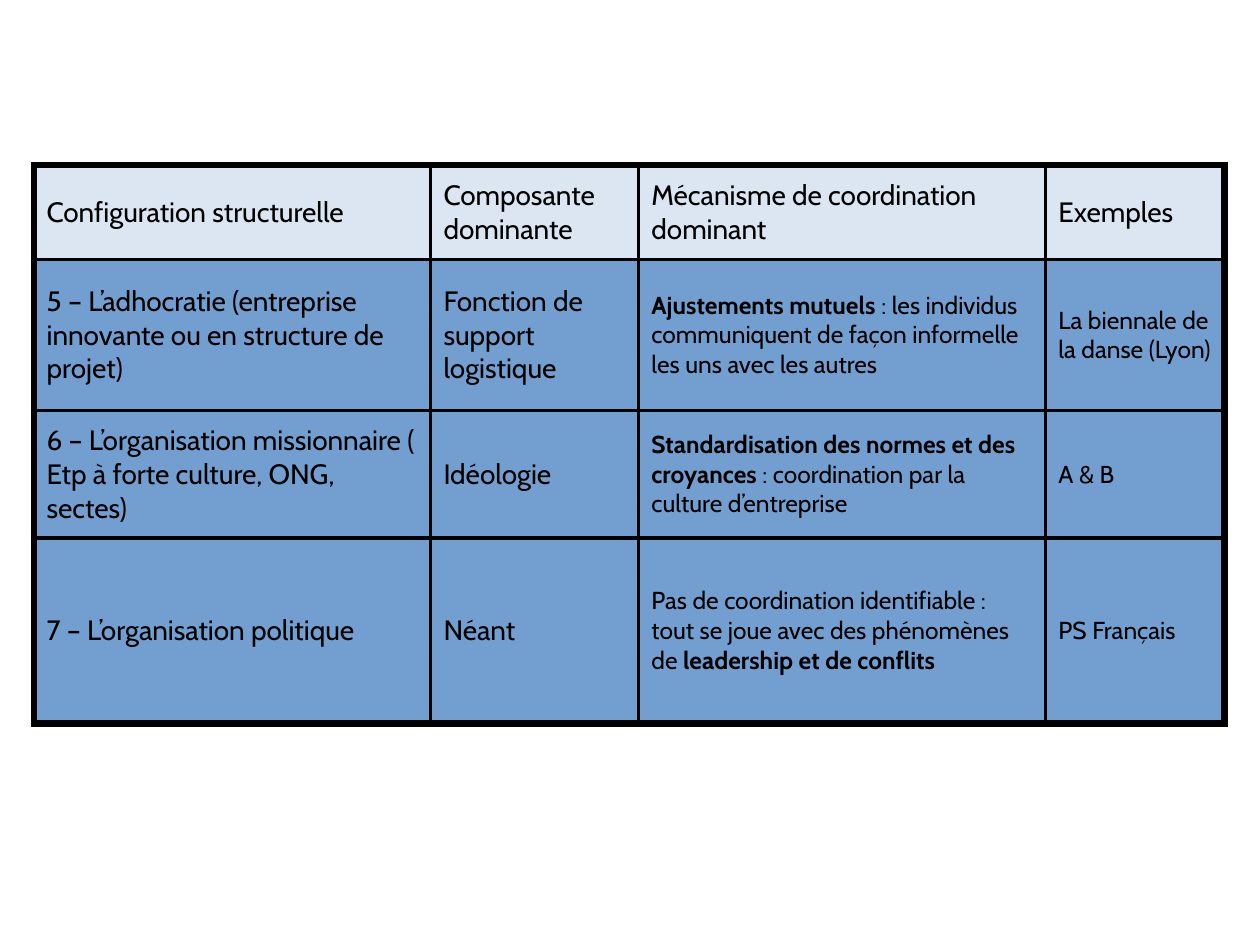
"""Build a slide with a table of organisational configurations."""
from lxml.etree import SubElement
from pptx import Presentation
from pptx.dml.color import RGBColor
from pptx.enum.text import MSO_ANCHOR
from pptx.oxml.ns import qn
from pptx.util import Inches, Pt


def color(value):
    return RGBColor.from_string(value)


def add_border(cell, side, width, value):
    properties = cell._tc.get_or_add_tcPr()
    line = SubElement(properties, qn(f"a:ln{side}"), w=str(Pt(width)), cmpd="sng")
    fill = SubElement(line, qn("a:solidFill"))
    SubElement(fill, qn("a:srgbClr"), val=value)
    SubElement(line, qn("a:prstDash"), val="solid")


BLACK, HEADER_FILL, BODY_FILL = "000000", "DCE6F2", "729FCF"
INNER_LINE, OUTER_LINE = 1.98, 4.48
COLUMN_WIDTHS = [3.15, 1.65, 3.23, 1.42]
ROW_HEIGHTS = [0.75, 1.2, 1.01, 1.47]
ROWS = [
    ["Configuration structurelle", "Composante dominante",
     "Mécanisme de coordination dominant", "Exemples"],
    ["5 – L’adhocratie (entreprise innovante ou en structure de projet)",
     "Fonction de support logistique",
     "**Ajustements mutuels** : les individus communiquent de façon informelle "
     "les uns avec les autres",
     "La biennale de la danse (Lyon)"],
    ["6 – L’organisation missionnaire ( Etp à forte culture, ONG, sectes)",
     "Idéologie",
     "**Standardisation des normes et des croyances** : coordination par la "
     "culture d’entreprise",
     "A & B"],
    ["7 – L’organisation politique", "Néant",
     "Pas de coordination identifiable : tout se joue avec des phénomènes de "
     "**leadership et de conflits**",
     "PS Français"],
]

deck = Presentation()
deck.slide_width, deck.slide_height = Inches(10), Inches(7.5)
page = deck.slides.add_slide(deck.slide_layouts[6])

table = page.shapes.add_table(
    len(ROW_HEIGHTS), len(COLUMN_WIDTHS), Inches(0.27), Inches(1.31),
    Inches(sum(COLUMN_WIDTHS)), Inches(sum(ROW_HEIGHTS))).table
table.first_row = table.horz_banding = False
for column, width in zip(table.columns, COLUMN_WIDTHS):
    column.width = Inches(width)
for row, height in zip(table.rows, ROW_HEIGHTS):
    row.height = Inches(height)

last_row, last_column = len(ROW_HEIGHTS) - 1, len(COLUMN_WIDTHS) - 1
for row_index, texts in enumerate(ROWS):
    for column_index, text in enumerate(texts):
        cell = table.cell(row_index, column_index)
        cell.vertical_anchor = MSO_ANCHOR.MIDDLE
        cell.margin_left = cell.margin_right = Inches(0.1)
        cell.margin_top = cell.margin_bottom = Inches(0.05)
        outer_sides = {"L": column_index == 0, "R": column_index == last_column,
                       "T": row_index == 0, "B": row_index == last_row}
        for side, is_outer in outer_sides.items():
            add_border(cell, side, OUTER_LINE if is_outer else INNER_LINE, BLACK)
        cell.fill.solid()
        cell.fill.fore_color.rgb = color(HEADER_FILL if row_index == 0 else BODY_FILL)

        para = cell.text_frame.paragraphs[0]
        for part_index, part in enumerate(text.split("**")):
            if part:
                span = para.add_run()
                span.text = part
                span.font.name = "Cabin"
                span.font.size = Pt(16 if row_index == 0 or column_index < 2 else 14)
                span.font.bold = part_index % 2 == 1
                span.font.color.rgb = color(BLACK)

deck.save("out.pptx")
